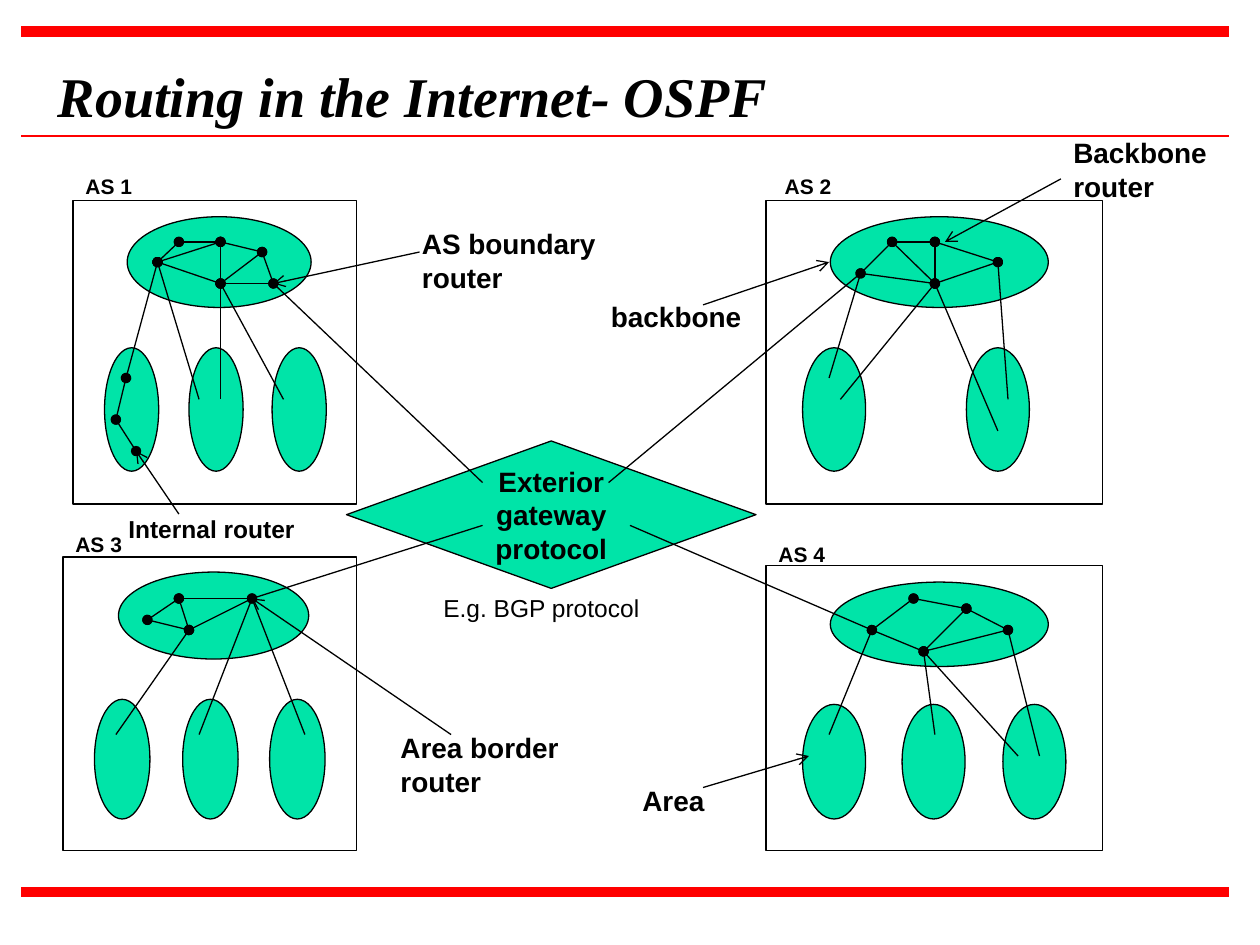
from lxml.etree import SubElement
from pptx import Presentation
from pptx.dml.color import RGBColor
from pptx.enum.shapes import MSO_CONNECTOR as CONN, MSO_SHAPE as SHAPE
from pptx.enum.text import MSO_ANCHOR as ANCHOR, MSO_AUTO_SIZE as AUTO, PP_ALIGN as ALIGN
from pptx.oxml.ns import qn
from pptx.util import Inches, Pt

RED, GREEN, BLACK = "FF0000", "00E4A8", "000000"

# name, frame, backbone, area tops and size, area lefts, label left and top
SYSTEMS = [
    ("AS 4", (6.08, 4.49, 2.67, 2.26), (6.59, 4.62, 1.73, 0.67),
     (5.59, 0.5, 0.91), (6.37, 7.16, 7.96), (6.08, 4.25)),
    ("AS 1", (0.58, 1.59, 2.25, 2.41), (1.01, 1.72, 1.46, 0.72),
     (2.76, 0.43, 0.98), (0.83, 1.5, 2.16), (0.58, 1.33)),
    ("AS 3", (0.5, 4.42, 2.33, 2.33), (0.94, 4.54, 1.51, 0.69),
     (5.55, 0.44, 0.95), (0.75, 1.45, 2.14), (0.5, 4.17)),
    ("AS 2", (6.08, 1.59, 2.67, 2.41), (6.59, 1.72, 1.73, 0.72),
     (2.76, 0.5, 0.98), (6.37, 7.67), (6.13, 1.33)),
]

ROUTERS = {
    "1a": (1.25, 2.08), "1b": (1.42, 1.92), "1c": (1.75, 1.92),
    "1d": (2.08, 2), "1e": (1.75, 2.25), "1f": (2.17, 2.25),
    "1g": (1, 3), "1h": (0.92, 3.33), "1i": (1.08, 3.58),
    "2a": (6.83, 2.17), "2b": (7.08, 1.92), "2c": (7.42, 1.92),
    "2d": (7.42, 2.25), "2e": (7.92, 2.08),
    "3a": (1.17, 4.92), "3b": (1.42, 4.75), "3c": (1.5, 5), "3d": (2, 4.75),
    "4a": (6.92, 5), "4b": (7.25, 4.75), "4c": (7.33, 5.17),
    "4d": (7.67, 4.83), "4e": (8, 5),
}

ROUTER_LINKS = {
    "1": "ab bc ac cd ce ed ef df ae ag gh hi",
    "2": "de ab ad bd bc dc ce",
    "3": "ab bc ac bd cd",
    "4": "ab ac cd bd ce de",
}

# router, end points inside areas or the exterior gateway
PLAIN_LINKS = [
    ("1a", [(1.58, 3.17)]),
    ("1e", [(1.75, 3.17), (2.25, 3.17)]),
    ("1f", [(3.83, 3.83)]),
    ("2a", [(6.58, 3), (4.83, 3.83)]),
    ("2d", [(6.67, 3.17), (7.92, 3.42)]),
    ("2e", [(8, 3.17)]),
    ("3c", [(0.92, 5.83)]),
    ("3d", [(1.58, 5.83), (2.42, 5.83), (3.83, 4.17)]),
    ("4a", [(5, 4.17), (6.58, 5.83)]),
    ("4c", [(7.42, 5.83), (8.08, 6)]),
    ("4e", [(8.25, 6)]),
]

# text, box, size, bold
LABELS = [
    ("Internal router", (0.92, 4.03, 1.83, 0.34), 14, True),
    ("Area", (5, 6.17, 0.83, 0.37), 16, True),
    ("AS boundary router", (3.25, 1.75, 1.75, 0.64), 16, True),
    ("backbone", (4.75, 2.33, 1.25, 0.37), 16, True),
    ("Area border router", (3.08, 5.75, 1.5, 0.64), 16, True),
    ("Backbone router", (8.42, 1.03, 1.33, 0.64), 16, True),
    ("E.g. BGP protocol", (3.42, 4.66, 2.17, 0.34), 14, False),
]

POINTERS = [
    ((3.58, 5.83), ROUTERS["3d"]),
    ((5.58, 6.25), (6.42, 6)),
    ((3.33, 2), ROUTERS["1f"]),
    ((5.58, 2.42), (6.58, 2.08)),
    ((1.42, 4.08), ROUTERS["1i"]),
    ((8.42, 1.42), (7.5, 1.92)),
]


def color(hex_code):
    return RGBColor.from_string(hex_code)


def inches(values):
    return [Inches(v) for v in values]


def set_font(p, size, bold=True, name="Arial"):
    p.font.name, p.font.size, p.font.bold = name, Pt(size), bold
    p.font.color.rgb = color(BLACK)


def add_line(s, start, end, line=BLACK, width=0.75, head=None, tail=None):
    cn = s.shapes.add_connector(CONN.STRAIGHT, *inches(start + end))
    cn.line.color.rgb = color(line)
    cn.line.width = Pt(width)
    sp_pr = cn._element.spPr
    ln = sp_pr.find(qn("a:ln"))
    for tag, kind in (("a:headEnd", head), ("a:tailEnd", tail)):
        if kind:
            SubElement(ln, qn(tag), type=kind)
    SubElement(sp_pr, qn("a:effectLst"))


def add_outlined(s, kind, box, fill=GREEN):
    sp = s.shapes.add_shape(kind, *inches(box))
    sp.shadow.inherit = False
    if fill:
        sp.fill.solid()
        sp.fill.fore_color.rgb = color(fill)
    else:
        sp.fill.background()
    sp.line.color.rgb = color(BLACK)
    sp.line.width = Pt(0.75)
    return sp


def add_label(s, text, box, size, bold=True):
    tf = s.shapes.add_textbox(*inches(box)).text_frame
    tf.word_wrap = True
    tf.auto_size = AUTO.SHAPE_TO_FIT_TEXT
    tf.text = text
    set_font(tf.paragraphs[0], size, bold)


def add_title(s, text):
    title = s.shapes.title
    title.left, title.top, title.width, title.height = inches((0.36, 0.44, 5.84, 0.64))
    tf = title.text_frame
    tf.text = text
    tf.word_wrap = False
    tf.auto_size = AUTO.SHAPE_TO_FIT_TEXT
    tf.vertical_anchor = ANCHOR.TOP
    p = tf.paragraphs[0]
    p.alignment = ALIGN.LEFT
    set_font(p, 32, name="Times New Roman")
    p.font.italic = True


def add_gateway(s):
    tf = add_outlined(s, SHAPE.DIAMOND, (2.75, 3.5, 3.25, 1.17)).text_frame
    tf.word_wrap = True
    tf.vertical_anchor = ANCHOR.MIDDLE
    tf.text = "Exterior gateway protocol"
    tf.paragraphs[0].alignment = ALIGN.CENTER
    set_font(tf.paragraphs[0], 16)


def add_system(s, name, frame, backbone, area, lefts, label):
    add_outlined(s, SHAPE.OVAL, backbone)
    for left in lefts:
        add_outlined(s, SHAPE.OVAL, (left, *area))
    add_outlined(s, SHAPE.RECTANGLE, frame, fill=None)
    add_label(s, name, (*label, 1.17, 0.3), 12)


def main():
    prs = Presentation()
    prs.slide_width, prs.slide_height = Inches(10), Inches(7.5)
    s = prs.slides.add_slide(prs.slide_layouts[5])
    for y, width in ((0.25, 6), (1.08, 1.5), (7.08, 6)):
        add_line(s, (0.17, y), (9.75, y), RED, width)
    add_title(s, "Routing in the Internet- OSPF")
    add_gateway(s)
    for system in SYSTEMS:
        add_system(s, *system)
    for number, pairs in ROUTER_LINKS.items():
        for a, b in pairs.split():
            add_line(s, ROUTERS[number + a], ROUTERS[number + b], head="oval", tail="oval")
    for router, ends in PLAIN_LINKS:
        for end in ends:
            add_line(s, ROUTERS[router], end)
    for start, end in POINTERS:
        add_line(s, start, end, tail="arrow")
    for label in LABELS:
        add_label(s, *label)
    prs.save("out.pptx")


if __name__ == "__main__":
    main()
